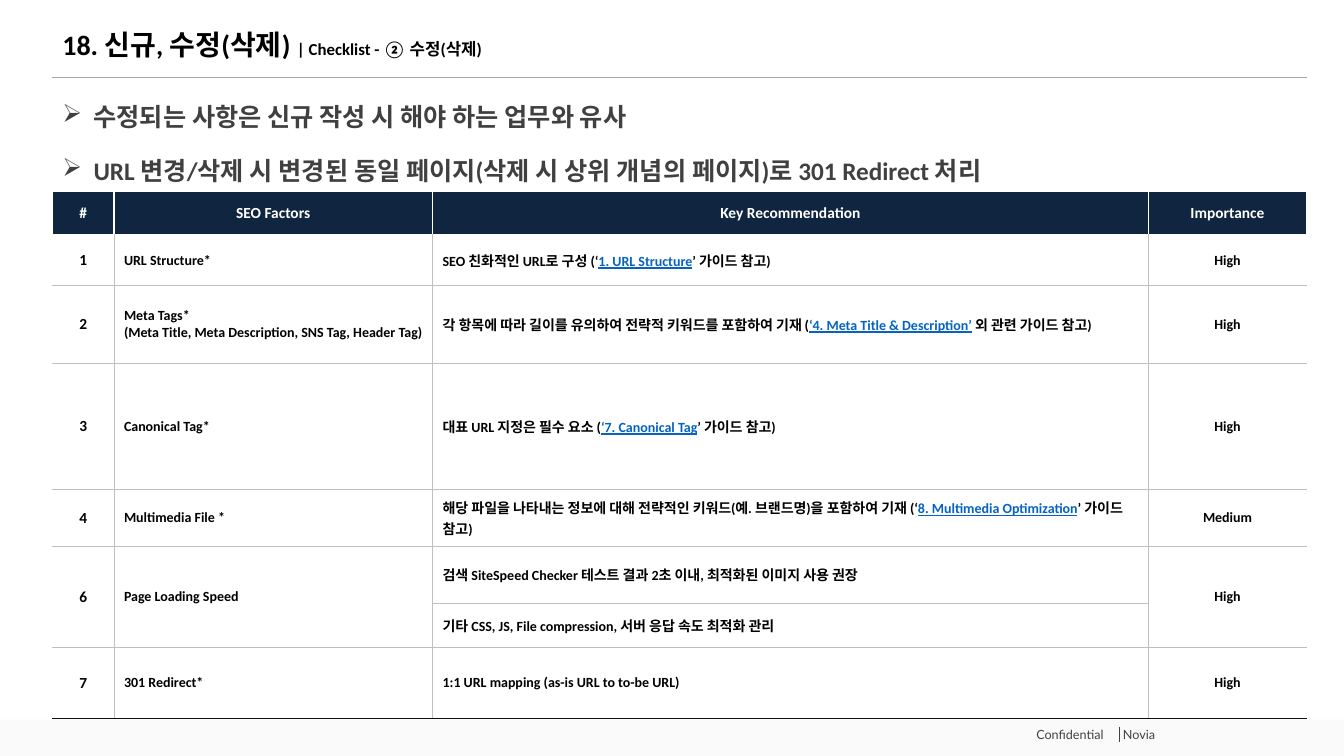
"""Build the SEO checklist slide for revised and deleted pages."""
from dataclasses import dataclass

from lxml import etree
from pptx import Presentation
from pptx import util as u
from pptx.dml.color import RGBColor
from pptx.enum import shapes, text
from pptx.oxml import ns

COLUMNS, ROWS = 1333, 750
CELL = u.Inches(0.01)


@dataclass(frozen=True)
class Theme:
    """Hold the colours, fonts and type sizes of the slide."""
    ink: str = "000000"
    body: str = "404040"
    muted: str = "424243"
    paper: str = "FFFFFF"
    band: str = "FAFAFA"
    header: str = "10253F"
    rule: str = "A6A6A6"
    grid: str = "BFBFBF"
    closing: str = "0D0D0D"
    link: str = "0563C1"
    main_font: str = "Calibri"
    footer_font: str = "Lato"
    title_size: int = 20
    body_size: int = 18
    subtitle_size: int = 12
    header_size: int = 11
    cell_size: int = 10
    footer_size: int = 9


THEME = Theme()
CENTER, LEFT = text.PP_ALIGN.CENTER, text.PP_ALIGN.LEFT
COLUMN_SHARES = (61, 316, 710, 157)
ROW_SHARES = (44, 49, 78, 125, 57, 56, 44, 71)
HEADINGS = ("#", "SEO Factors", "Key Recommendation", "Importance")
CHECKLIST = (
    ("1", "URL Structure*",
     ("SEO 친화적인 URL로 구성 (‘", "1. URL Structure", "’ 가이드 참고)"), "High"),
    ("2", "Meta Tags*\n(Meta Title, Meta Description, SNS Tag, Header Tag)",
     ("각 항목에 따라 길이를 유의하여 전략적 키워드를 포함하여 기재 (",
      "‘4. Meta Title & Description’", " 외 관련 가이드 참고)"), "High"),
    ("3", "Canonical Tag*",
     ("대표 URL 지정은 필수 요소 (", "‘7. Canonical Tag", "’ 가이드 참고)"), "High"),
    ("4", "Multimedia File *",
     ("해당 파일을 나타내는 정보에 대해 전략적인 키워드(예. 브랜드명)을 포함하여 기재 (‘",
      "8. Multimedia Optimization", "’ 가이드 참고)"), "Medium"),
    ("6", "Page Loading Speed",
     ("검색 SiteSpeed Checker 테스트 결과 2초 이내, 최적화된 이미지 사용 권장",), "High"),
    ("", "", ("기타 CSS, JS, File compression, 서버 응답 속도 최적화 관리",), ""),
    ("7", "301 Redirect*", ("1:1 URL mapping (as-is URL to to-be URL)",), "High"),
)
SPEED_ROW = 5


def place(box):
    """Turn a box in grid columns and rows into lengths."""
    return [u.Emu(CELL * part) for part in box]


def apply(target, formats):
    """Set every attribute in a dict of format values."""
    for name, value in formats.items():
        setattr(target, name, value)


def add_run(paragraph, words, size, color, font=THEME.main_font, **formats):
    """Append one styled run to a paragraph."""
    run = paragraph.add_run()
    run.text = words
    apply(run.font, {"name": font, "size": u.Pt(size), **formats})
    run.font.color.rgb = RGBColor.from_string(color)


def add_text_frame(slide, box, **formats):
    """Add a wrapping text box and return its frame."""
    frame = slide.shapes.add_textbox(*place(box)).text_frame
    apply(frame, {"word_wrap": True, **formats})
    return frame


def add_rule(slide, box, color, width):
    """Draw a straight line across a box."""
    left, top, across, down = place(box)
    rule = slide.shapes.add_connector(
        shapes.MSO_CONNECTOR.STRAIGHT, left, top, left + across, top + down)
    rule.line.color.rgb = RGBColor.from_string(color)
    rule.line.width = u.Pt(width)
    etree.SubElement(rule._element.spPr, ns.qn("a:effectLst"))


def add_footer(slide, box):
    """Draw the footer band with its label and divider."""
    left, top, width, height = box
    band = slide.shapes.add_shape(shapes.MSO_SHAPE.RECTANGLE, *place(box))
    band.shadow.inherit = False
    band.fill.solid()
    band.fill.fore_color.rgb = RGBColor.from_string(THEME.band)
    band.line.fill.background()
    add_rule(slide, (left + 1110, top + 7, 0, 15), THEME.muted, 0.5)
    frame = add_text_frame(slide, (left + 1018, top + 2, 207, 25))
    add_run(frame.paragraphs[0], "Confidential      Novia", THEME.footer_size,
            THEME.muted, THEME.footer_font)


def add_title(slide, box):
    """Write the heading with its smaller suffix and a rule below."""
    left, top, width, height = box
    frame = add_text_frame(slide, box, vertical_anchor=text.MSO_ANCHOR.MIDDLE)
    paragraph = frame.paragraphs[0]
    paragraph.line_spacing = 0.9
    for words, size in (("18. 신규, 수정(삭제) ", THEME.title_size),
                        ("| Checklist - ② 수정(삭제)", THEME.subtitle_size)):
        add_run(paragraph, words, size, THEME.ink, bold=True)
    add_rule(slide, (left, top + height + 5, width, 0), THEME.rule, 1)


def add_summary(slide, box):
    """Write the two bulleted statements above the table."""
    frame = add_text_frame(slide, box)
    statements = (
        "수정되는 사항은 신규 작성 시 해야 하는 업무와 유사",
        "URL 변경/삭제 시 변경된 동일 페이지(삭제 시 상위 개념의 페이지)로 301 Redirect 처리")
    indent = u.Inches(0.31)
    for index, words in enumerate(statements):
        paragraph = frame.add_paragraph() if index else frame.paragraphs[0]
        properties = paragraph._p.get_or_add_pPr()
        properties.set("marL", str(indent))
        properties.set("indent", str(-indent))
        bullet = etree.SubElement(properties, ns.qn("a:buChar"))
        bullet.set("char", "➢")
        apply(paragraph, {"line_spacing": 1.3, "space_before": u.Pt(10 * index)})
        add_run(paragraph, words, THEME.body_size, THEME.body, bold=True)


def set_borders(cell, borders):
    """Draw cell borders from a dict of side to colour and width."""
    properties = cell._tc.get_or_add_tcPr()
    for side in "LRTB":
        if side in borders:
            color, width = borders[side]
            line = etree.SubElement(properties, ns.qn(f"a:ln{side}"), w=str(u.Pt(width)))
            fill = etree.SubElement(line, ns.qn("a:solidFill"))
            etree.SubElement(fill, ns.qn("a:srgbClr"), val=color)


def cell_borders(row, column):
    """Work out the borders of a cell from its place in the table."""
    thin, white, thick = (THEME.grid, 0.5), (THEME.paper, 1), (THEME.paper, 3)
    inner = thin if row else white
    borders = {"L": inner, "R": inner, "T": inner, "B": inner if row else thick}
    if row == 1:
        borders["T"] = thick
    if row == len(ROW_SHARES) - 1:
        borders["B"] = (THEME.closing, 1.5)
    if column == 0:
        del borders["L"]
    if column == len(COLUMN_SHARES) - 1:
        borders["R"] = white
    return borders


def fill_cell(cell, row, column, content):
    """Format one table cell and write its text."""
    set_borders(cell, cell_borders(row, column))
    if row:
        cell.fill.background()
    else:
        cell.fill.solid()
        cell.fill.fore_color.rgb = RGBColor.from_string(THEME.header)
    cell.vertical_anchor = text.MSO_ANCHOR.MIDDLE
    size = THEME.header_size if row == 0 or column == 0 else THEME.cell_size
    color = THEME.ink if row else THEME.paper
    lines = [(line,) for line in content.split("\n")] if isinstance(content, str) else [content]
    for index, parts in enumerate(lines):
        frame = cell.text_frame
        paragraph = frame.add_paragraph() if index else frame.paragraphs[0]
        paragraph.alignment = CENTER if row == 0 or column in (0, 3) else LEFT
        for position, words in enumerate(parts):
            linked = position == 1
            if words:
                add_run(paragraph, words, size, THEME.link if linked else color,
                        bold=True, underline=linked)


def add_checklist(slide, box):
    """Build the checklist table inside a box."""
    left, top, width, height = place(box)
    table = slide.shapes.add_table(
        len(ROW_SHARES), len(COLUMN_SHARES), left, top, width, height).table
    table.horz_banding = False
    for column, share in zip(table.columns, COLUMN_SHARES):
        column.width = u.Emu(width * share // sum(COLUMN_SHARES))
    for row, share in zip(table.rows, ROW_SHARES):
        row.height = u.Emu(height * share // sum(ROW_SHARES))
    for row, contents in enumerate((HEADINGS, *CHECKLIST)):
        for column, content in enumerate(contents):
            fill_cell(table.cell(row, column), row, column, content)
    for column in (0, 1, 3):
        table.cell(SPEED_ROW, column).merge(table.cell(SPEED_ROW + 1, column))


def main():
    """Assemble the slide and save it."""
    presentation = Presentation()
    apply(presentation, {"slide_width": u.Emu(CELL * COLUMNS),
                         "slide_height": u.Emu(CELL * ROWS)})
    slide = presentation.slides.add_slide(presentation.slide_layouts[6])
    add_footer(slide, (0, 714, COLUMNS, 36))
    add_title(slide, (52, 21, 1244, 51))
    add_summary(slide, (52, 87, 1244, 103))
    add_checklist(slide, (52, 190, 1244, 523))
    presentation.save("out.pptx")


if __name__ == "__main__":
    main()
